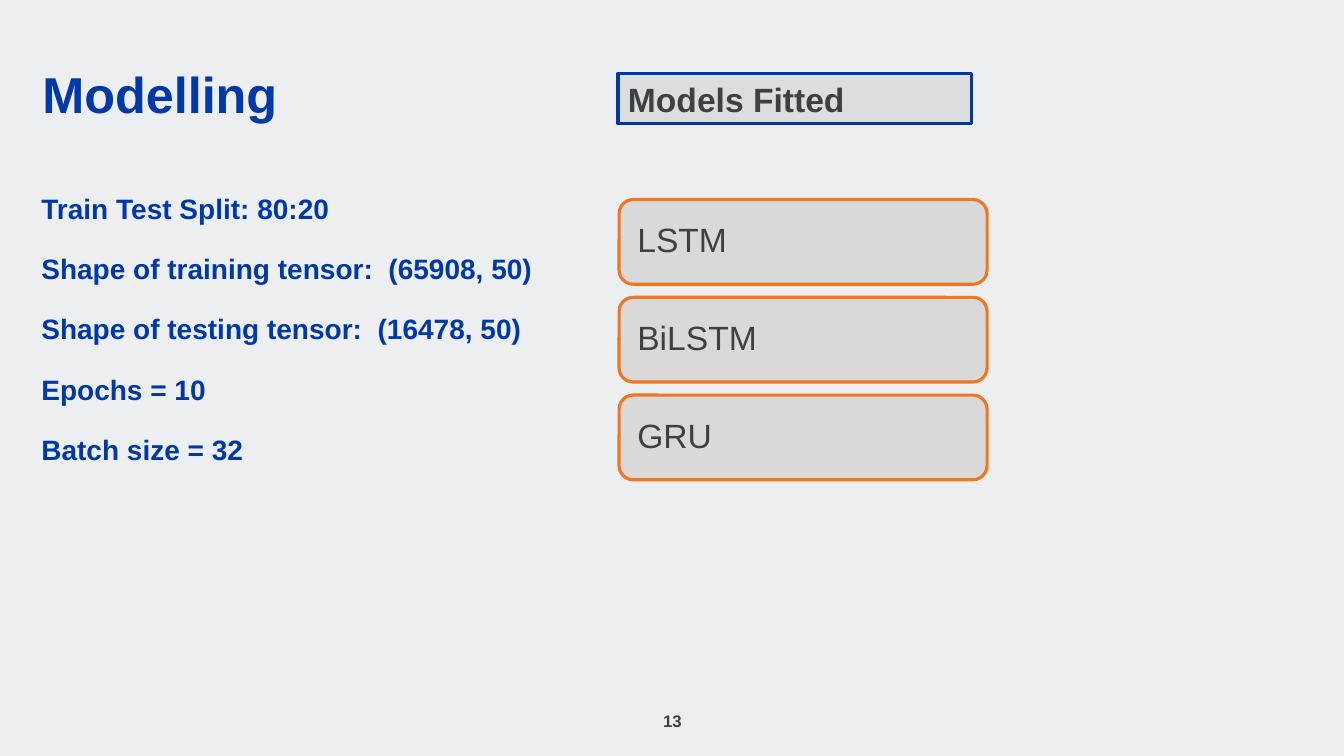
import pptx
import pptx.util
import pptx.dml.color
import pptx.enum.shapes
import pptx.enum.text

Inches, Pt = pptx.util.Inches, pptx.util.Pt
SHAPE = pptx.enum.shapes.MSO_SHAPE
ANCHOR = pptx.enum.text.MSO_ANCHOR
ALIGN = pptx.enum.text.PP_ALIGN

COLORS = {
    "background": "EDEEEF",
    "blue": "0039A6",
    "orange": "EF7622",
    "text": "404041",
    "heading fill": "DBDDDE",
    "model fill": "D9D9D9",
}


def rgb(name):
    return pptx.dml.color.RGBColor.from_string(COLORS[name])


def write(shape, *lines, size, color="text", bold=False, align=ALIGN.LEFT,
          anchor=ANCHOR.TOP, margins=(0, 0), gap=0, spacing=1.0):
    """Fill a shape with one paragraph per line; margins are (sides, top and bottom)."""
    frame = shape.text_frame
    frame.word_wrap = True
    frame.auto_size = pptx.enum.text.MSO_AUTO_SIZE.NONE
    frame.vertical_anchor = anchor
    frame.margin_left = frame.margin_right = Inches(margins[0])
    frame.margin_top = frame.margin_bottom = Inches(margins[1])
    for index, line in enumerate(lines):
        paragraph = frame.add_paragraph() if index else frame.paragraphs[0]
        paragraph.text = line
        paragraph.alignment = align
        paragraph.line_spacing = spacing
        paragraph.space_before = Pt(gap if index else 0)
        font = paragraph.runs[0].font
        font.name, font.size, font.bold = "Arial", Pt(size), bold
        font.color.rgb = rgb(color)


presentation = pptx.Presentation()
presentation.slide_width = Inches(13.33)
presentation.slide_height = Inches(7.5)
slide = presentation.slides.add_slide(presentation.slide_layouts[5])
slide.background.fill.solid()
slide.background.fill.fore_color.rgb = rgb("background")

# Title
title = slide.shapes.title
title.left, title.top = Inches(0.42), Inches(0.73)
title.width, title.height = Inches(2.77), Inches(0.5)
write(title, "Modelling", size=36, color="blue", bold=True,
      anchor=ANCHOR.BOTTOM, spacing=0.9)

# Training settings
settings = slide.shapes.add_textbox(Inches(0.41), Inches(1.9), Inches(5.11), Inches(3.37))
write(settings,
      "Train Test Split: 80:20",
      "Shape of training tensor:  (65908, 50)",
      "Shape of testing tensor:  (16478, 50)",
      "Epochs = 10",
      "Batch size = 32",
      size=20, color="blue", bold=True, gap=19)

# Heading and the three model cards: text, kind, left, top, width, height, fill, line, format
heading_format = {"bold": True, "margins": (0.1, 0.05)}
card_format = {"anchor": ANCHOR.MIDDLE, "margins": (0.14, 0.14), "spacing": 0.9}
boxes = [("Models Fitted", SHAPE.RECTANGLE, 6.13, 0.73, 3.51, 0.5,
          "heading fill", "blue", heading_format)]
for row, model in enumerate(["LSTM", "BiLSTM", "GRU"]):
    boxes.append((model, SHAPE.ROUNDED_RECTANGLE, 6.14, 1.98 + 0.97 * row, 3.65, 0.84,
                  "model fill", "orange", card_format))

for text, kind, left, top, width, height, fill, line, text_format in boxes:
    box = slide.shapes.add_shape(kind, Inches(left), Inches(top), Inches(width), Inches(height))
    box.shadow.inherit = False
    box.fill.solid()
    box.fill.fore_color.rgb = rgb(fill)
    box.line.color.rgb = rgb(line)
    box.line.width = Pt(2.25)
    write(box, text, size=24, **text_format)

# Page number
page_number = slide.shapes.add_textbox(Inches(5.17), Inches(6.95), Inches(3), Inches(0.4))
write(page_number, "13", size=12, bold=True, align=ALIGN.CENTER,
      anchor=ANCHOR.MIDDLE, margins=(0.1, 0.05))

presentation.save("out.pptx")
